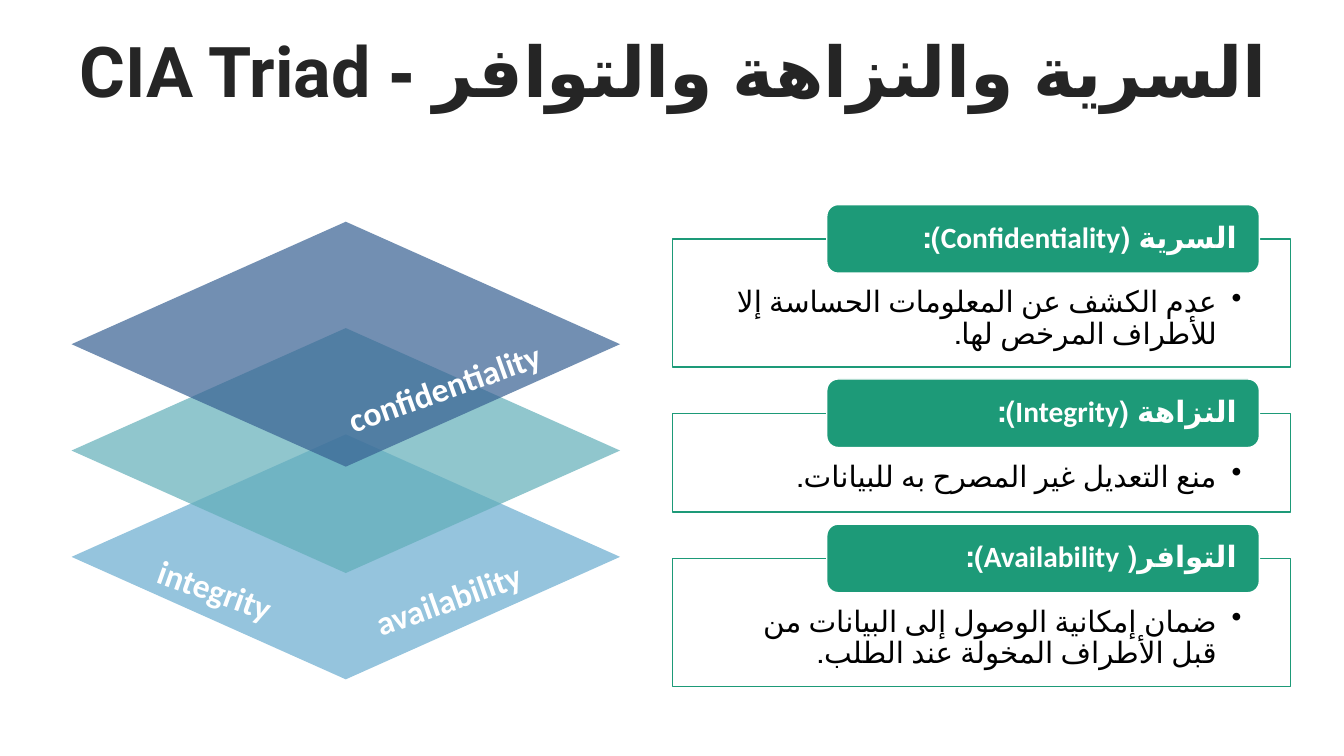
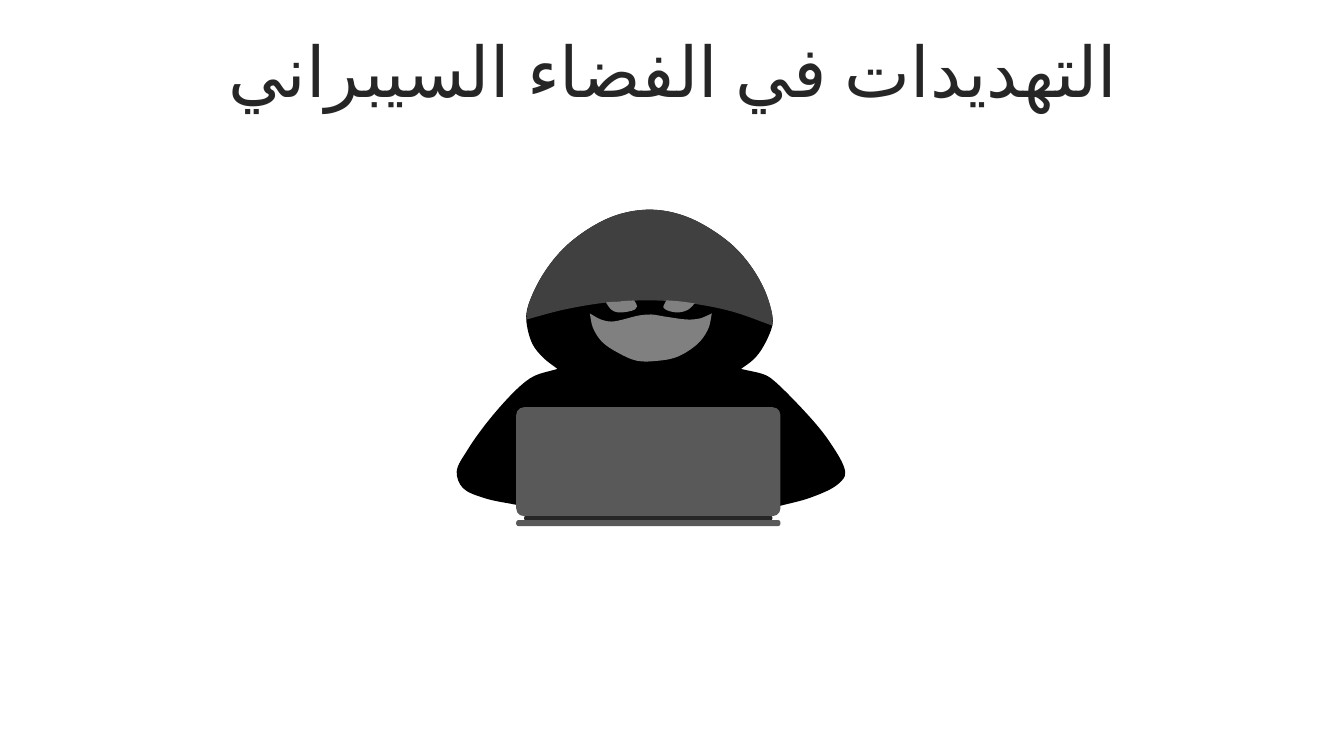
"""Build two Arabic slides on the CIA triad and on threats in cyberspace."""
import math
from dataclasses import dataclass

import pptx
import pptx.dml.color
import pptx.enum.shapes
import pptx.enum.text
import pptx.oxml.ns
import pptx.util
from lxml import etree

Inches = pptx.util.Inches
SHAPE = pptx.enum.shapes.MSO_SHAPE
ALIGN = pptx.enum.text.PP_ALIGN
ANCHOR = pptx.enum.text.MSO_ANCHOR
qn = pptx.oxml.ns.qn


@dataclass(frozen=True)
class Theme:
    title: str = "252525"
    title_plain: str = "262626"
    white: str = "FFFFFF"
    black: str = "000000"
    green: str = "1D9A78"
    sky: str = "95C4DD"
    teal: str = "61AEB9"
    navy: str = "376092"
    hood: str = "404040"
    laptop: str = "595959"
    hinge: str = "262626"
    face: str = "808080"
    font: str = "Calibri"
    title_font: str = "Roboto"
    title_size: int = 50
    label_size: int = 24
    body_size: int = 21


T = Theme()

TRIAD_TITLE = "السرية والنزاهة والتوافر - CIA Triad"
THREATS_TITLE = "التهديدات في الفضاء السيبراني"

LAYERS = [(T.sky, 100), (T.teal, 70), (T.navy, 70)]
LABELS = [
    ("confidentiality", (2.95, 3.59, 2.91, 0.5), -19.6),
    ("integrity", (0.61, 5.6, 3.05, 0.5), 19.6),
    ("availability", (3.08, 5.69, 2.73, 0.5), -19.6),
]
PANELS = [
    ("السرية (Confidentiality):", "عدم الكشف عن المعلومات الحساسة إلا للأطراف المرخص لها.", 1.27),
    ("النزاهة (Integrity):", "منع التعديل غير المصرح به للبيانات.", 0.98),
    ("التوافر( Availability):", "ضمان إمكانية الوصول إلى البيانات من قبل الأطراف المخولة عند الطلب.", 1.27),
]

HOOD_TOP = [(7.66, 3.23), (7.66, 3.13), (7.58, 2.87), (7.41, 2.59), (7.19, 2.37), (6.81, 2.15),
            (6.45, 2.08), (6.07, 2.15), (5.66, 2.4), (5.4, 2.7), (5.24, 3.03), (5.22, 3.17)]
BODY = [
    [(7.35, 3.66), (7.48, 3.56), (7.57, 3.44), *HOOD_TOP, (5.28, 3.41), (5.39, 3.55), (5.53, 3.66)],
    [(5.53, 3.66), (5.3, 3.73), (5.16, 3.83), (4.88, 4.13), (4.64, 4.46),
     (4.53, 4.68), (4.59, 4.84), (4.8, 4.94), (5.13, 5.01)],
    [(5.13, 5.01), (7.73, 5.02)],
    [(7.73, 5.02), (8.03, 4.94), (8.29, 4.82), (8.38, 4.72), (8.37, 4.63), (8.24, 4.4),
     (8.07, 4.18), (7.68, 3.78), (7.59, 3.72), (7.35, 3.66)],
]
HOOD = [HOOD_TOP, [(5.22, 3.17), (5.6, 3.07), (6.03, 3), (6.47, 2.98), (6.86, 3.01), (7.26, 3.09), (7.66, 3.23)]]
MASK = [
    [(7.06, 3.11), (7.03, 3.25), (6.95, 3.38), (6.83, 3.48), (6.69, 3.55), (6.52, 3.58),
     (6.32, 3.58), (6.13, 3.5), (5.97, 3.39), (5.88, 3.25), (5.85, 3.11)],
    [(5.85, 3.11), (5.96, 3.17), (6.07, 3.19), (6.34, 3.13), (6.46, 3.12), (6.59, 3.14),
     (6.82, 3.17), (6.94, 3.16), (7.06, 3.11)],
]
LEFT_EYE = [
    [(6.01, 3), (6.15, 2.99), (6.29, 2.98)],
    [(6.29, 2.98), (6.32, 3.04), (6.3, 3.07), (6.13, 3.1), (6.06, 3.07), (6.01, 3)],
]
RIGHT_EYE = [
    [(6.61, 2.98), (6.74, 2.99), (6.89, 3.01)],
    [(6.89, 3.01), (6.83, 3.07), (6.73, 3.1), (6.62, 3.08), (6.58, 3.05), (6.61, 2.98)],
]
LAPTOP = [
    ((5.12, 4.04, 2.62, 1.08), T.laptop, 0.07),
    ((5.2, 5.12, 2.46, 0.04), T.hinge, 0.3),
    ((5.12, 5.16, 2.62, 0.06), T.laptop, 0.4),
]
FIGURE_FRONT = [(HOOD, T.hood), (MASK, T.face), (LEFT_EYE, T.face), (RIGHT_EYE, T.face)]


def rgb(color):
    return pptx.dml.color.RGBColor.from_string(color)


def set_attrs(obj, values):
    for name, value in values.items():
        setattr(obj, name, value)


def paint(sp, color, opacity=100, line=None):
    sp.shadow.inherit = False
    sp.fill.solid()
    sp.fill.fore_color.rgb = rgb(color)
    if opacity < 100:
        tone = sp.fill._xPr.find(qn("a:solidFill"))[0]
        etree.SubElement(tone, qn("a:alpha"), val=str(opacity * 1000))
    if line:
        sp.line.color.rgb = rgb(line)
        sp.line.width = pptx.util.Pt(1)
    else:
        sp.line.fill.background()


def add_box(s, kind, box, color, opacity=100, line=None):
    sp = s.shapes.add_shape(kind, *map(Inches, box))
    paint(sp, color, opacity, line)
    return sp


def write(sp, text, color, size, font=T.font, bold=False, align=ALIGN.CENTER, anchor=ANCHOR.MIDDLE,
          insets=(0.1, 0.05), rtl=True, bullet=False, spacing=None):
    side, top = map(Inches, insets)
    tf = sp.text_frame
    set_attrs(tf, dict(word_wrap=True, vertical_anchor=anchor, margin_left=side,
                       margin_right=side, margin_top=top))
    p = tf.paragraphs[0]
    p_pr = p._p.get_or_add_pPr()
    if rtl:
        p_pr.set("rtl", "1")
    if bullet:
        p_pr.set("marL", str(Inches(0.25)))
        p_pr.set("indent", str(-Inches(0.25)))
        etree.SubElement(p_pr, qn("a:buChar"), char="•")
    set_attrs(p, dict(alignment=align, line_spacing=spacing))
    r = p.add_run()
    r.text = text
    set_attrs(r.font, dict(name=font, size=pptx.util.Pt(size), bold=bold))
    r.font.color.rgb = rgb(color)
    if rtl:
        r._r.get_or_add_rPr().set("lang", "ar-SA")


def add_slide(prs, title, **style):
    s = prs.slides.add_slide(prs.slide_layouts[6])
    sp = s.shapes.add_textbox(*map(Inches, (0.35, 0.37, 12.66, 0.79)))
    write(sp, title, size=T.title_size, spacing=0.8, **style)
    return s


def handle(prev, here, there):
    """Return the Bezier handle at a point of a centripetal Catmull-Rom curve."""
    near, far = math.dist(prev, here), math.dist(here, there)
    root = math.sqrt(near * far)
    weight = 2 * near + 3 * root + far
    return tuple((near * c - far * a + weight * b) / (3 * (near + root))
                 for a, b, c in zip(prev, here, there))


def reflect(pt, center):
    return tuple(2 * c - v for v, c in zip(pt, center))


def bezier_points(pts):
    knots = [reflect(pts[1], pts[0]), *pts, reflect(pts[-2], pts[-1])]
    for a, b, c, d in zip(knots, knots[1:], knots[2:], knots[3:]):
        yield from (handle(a, b, c), handle(d, c, b), c)


def add_outline(s, strokes, color):
    pts = [(Inches(x), Inches(y)) for stroke in strokes for x, y in bezier_points(stroke)]
    builder = s.shapes.build_freeform(*map(Inches, strokes[0][0]))
    builder.add_line_segments(pts, close=True)
    sp = builder.convert_to_shape()
    segments = list(sp._element.iter(qn("a:lnTo")))
    for first, second, end in zip(segments[::3], segments[1::3], segments[2::3]):
        first.tag = qn("a:cubicBezTo")
        for extra in (second, end):
            first.append(extra[0])
            extra.getparent().remove(extra)
    paint(sp, color)


def build_triad(prs):
    s = add_slide(prs, TRIAD_TITLE, color=T.title, font=T.title_font, bold=True)
    for i, (color, opacity) in enumerate(LAYERS):
        add_box(s, SHAPE.DIAMOND, (0.71, 4.31 - 1.055 * i, 5.44, 2.43), color, opacity)
    for text, box, angle in LABELS:
        sp = s.shapes.add_textbox(*map(Inches, box))
        sp.rotation = angle
        write(sp, text, T.white, T.label_size, bold=True, anchor=ANCHOR.TOP, rtl=False)
    top, gap, tag_rise = 2.37, 0.46, 0.34
    for heading, detail, height in PANELS:
        panel = add_box(s, SHAPE.RECTANGLE, (6.67, top, 6.13, height), T.white, 90, T.green)
        write(panel, detail, T.black, T.body_size, align=ALIGN.RIGHT, anchor=ANCHOR.TOP,
              insets=(0.48, 0.48), bullet=True, spacing=0.9)
        tag = add_box(s, SHAPE.ROUNDED_RECTANGLE, (8.2, top - tag_rise, 4.29, 2 * tag_rise), T.green, line=T.white)
        write(tag, heading, T.white, T.body_size, bold=True, align=ALIGN.RIGHT, insets=(0.19, 0.05), spacing=0.9)
        top += height + gap


def build_threats(prs):
    s = add_slide(prs, THREATS_TITLE, color=T.title_plain)
    add_outline(s, BODY, T.black)
    for box, color, corner in LAPTOP:
        sp = add_box(s, SHAPE.ROUNDED_RECTANGLE, box, color)
        sp.adjustments[0] = corner
    for strokes, color in FIGURE_FRONT:
        add_outline(s, strokes, color)


def main():
    prs = pptx.Presentation()
    set_attrs(prs, dict(slide_width=Inches(13.33), slide_height=Inches(7.5)))
    build_triad(prs)
    build_threats(prs)
    prs.save("out.pptx")


if __name__ == "__main__":
    main()
